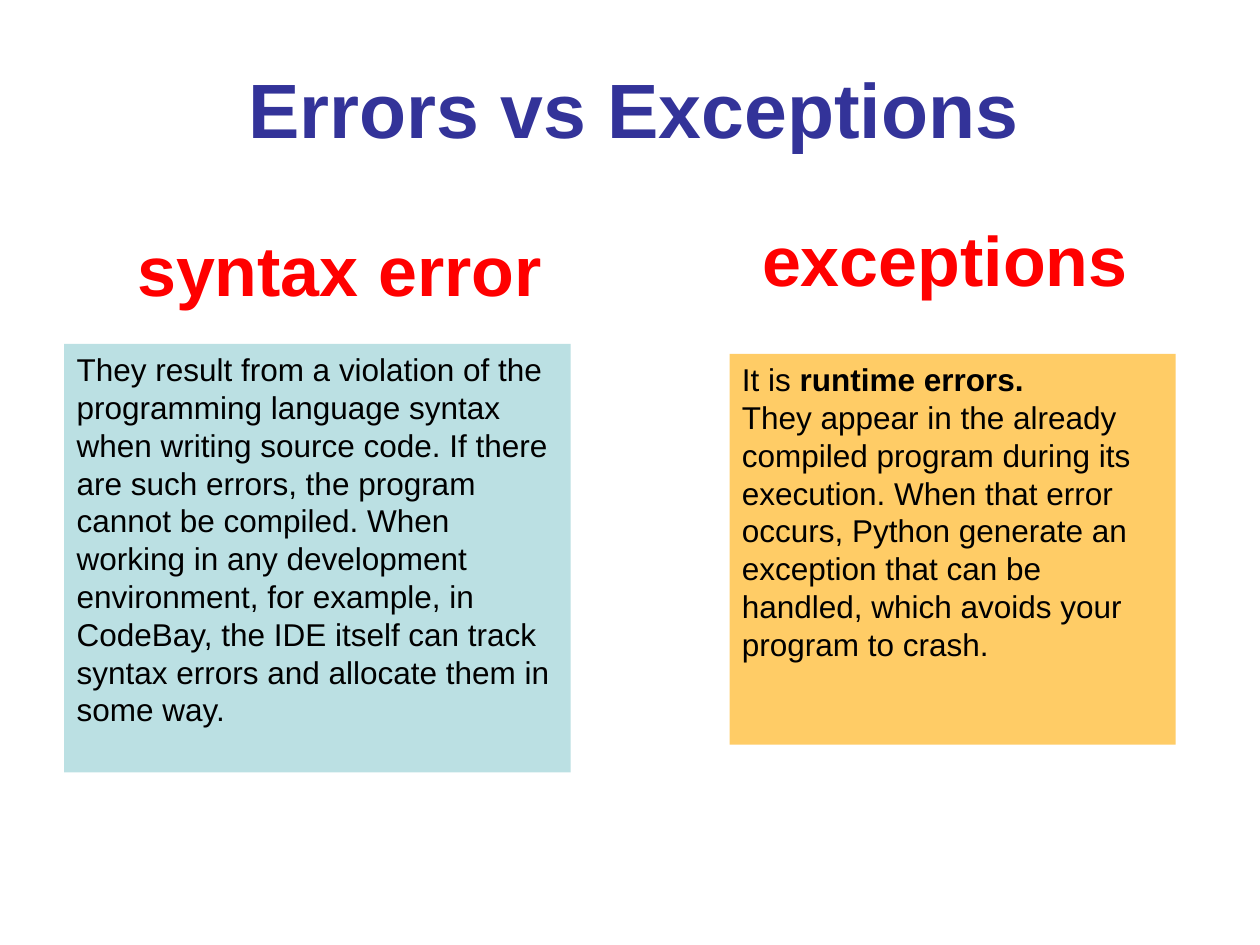
from pptx import Presentation
from pptx.dml.color import RGBColor
from pptx.enum.shapes import MSO_SHAPE
from pptx.enum.text import MSO_ANCHOR, PP_ALIGN
from pptx.util import Inches, Pt

FONT = "Arial"
NAVY = RGBColor(0x33, 0x33, 0x99)
RED = RGBColor(0xFF, 0x00, 0x00)
BLACK = RGBColor(0x00, 0x00, 0x00)
TEAL = RGBColor(0xBB, 0xE0, 0xE3)
ORANGE = RGBColor(0xFF, 0xCC, 0x66)

SYNTAX_TEXT = (
    "They result from a violation of the programming language syntax when "
    "writing source code. If there are such errors, the program cannot be "
    "compiled. When working in any development environment, for example, in "
    "CodeBay, the IDE itself can track syntax errors and allocate them in "
    "some way."
)
EXCEPTION_TEXT = (
    "They appear in the already compiled program during its execution. When "
    "that error occurs, Python generate an exception that can be handled, "
    "which avoids your program to crash."
)


def format_run(r, size, color, bold=False):
    r.font.name = FONT
    r.font.size = Pt(size)
    r.font.color.rgb = color
    r.font.bold = bold


def add_heading(s, text, box, size, color, wrap=False):
    tf = s.shapes.add_textbox(*map(Inches, box)).text_frame
    tf.word_wrap = wrap
    tf.text = text
    format_run(tf.paragraphs[0].runs[0], size, color, bold=True)
    return tf


def add_panel(s, box, fill, paragraphs):
    """Add a filled box; each paragraph is a list of (text, bold) pairs."""
    sp = s.shapes.add_shape(MSO_SHAPE.RECTANGLE, *map(Inches, box))
    sp.shadow.inherit = False
    sp.fill.solid()
    sp.fill.fore_color.rgb = fill
    sp.line.fill.background()
    tf = sp.text_frame
    tf.word_wrap = True
    tf.vertical_anchor = MSO_ANCHOR.TOP
    for i, parts in enumerate(paragraphs):
        p = tf.add_paragraph() if i else tf.paragraphs[0]
        p.alignment = PP_ALIGN.LEFT
        for text, bold in parts:
            r = p.add_run()
            r.text = text
            format_run(r, 18, BLACK, bold)


def main():
    prs = Presentation()
    prs.slide_width, prs.slide_height = Inches(10), Inches(7.5)
    s = prs.slides.add_slide(prs.slide_layouts[6])

    title = add_heading(s, "Errors vs Exceptions", (0.83, 0.44, 8.5, 0.75),
                        44, NAVY, wrap=True)
    title.margin_left = 0
    title.paragraphs[0].alignment = PP_ALIGN.CENTER

    add_panel(s, (0.51, 2.73, 4.02, 3.4), TEAL, [[(SYNTAX_TEXT, False)]])
    add_panel(s, (5.79, 2.81, 3.54, 3.1), ORANGE, [
        [("It is ", False), ("runtime errors.", True)],
        [(EXCEPTION_TEXT, False)],
    ])
    add_heading(s, "syntax error", (0.99, 1.75, 3.41, 0.77), 40, RED)
    add_heading(s, "exceptions", (5.95, 1.67, 3.1, 0.77), 40, RED)

    prs.save("out.pptx")


if __name__ == "__main__":
    main()
